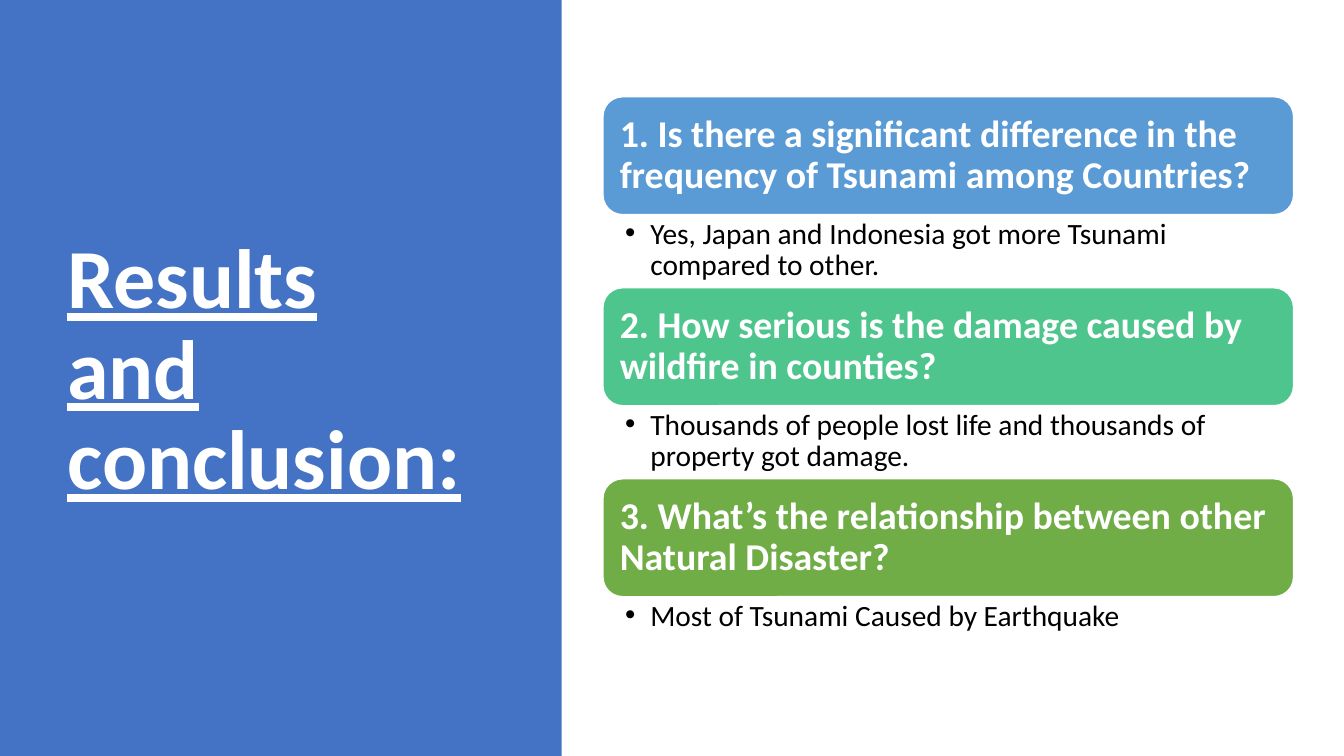
from lxml import etree
from pptx import Presentation
from pptx.dml.color import RGBColor
from pptx.enum.shapes import MSO_SHAPE
from pptx.enum.text import MSO_ANCHOR, PP_ALIGN
from pptx.oxml.ns import qn
from pptx.util import Inches, Pt

RECTANGLE = MSO_SHAPE.RECTANGLE
ROUNDED = MSO_SHAPE.ROUNDED_RECTANGLE
TOP, MIDDLE = MSO_ANCHOR.TOP, MSO_ANCHOR.MIDDLE
LEFT = PP_ALIGN.LEFT

SLIDE_WIDTH, SLIDE_HEIGHT = 13.33, 7.5
PANEL_WIDTH = 5.57
LIST_LEFT, LIST_TOP, LIST_WIDTH = 5.98, 0.96, 6.85
QUESTION_HEIGHT, ANSWER_HEIGHT = 1.17, 0.72
ROW_PITCH = 1.895
BULLET_INDENT = 0.25
FONT = "Calibri"
WHITE, BLACK, BLUE = "FFFFFF", "000000", "4472C4"

FINDINGS = [
    ("1. Is there a significant difference in the frequency of Tsunami among Countries?",
     "Yes, Japan and Indonesia got more Tsunami compared to other.", "5B9BD5"),
    ("2. How serious is the damage caused by wildfire in counties?",
     "Thousands of people lost life and thousands of property got damage.", "4DC58D"),
    ("3. What’s the relationship between other Natural Disaster?",
     "Most of Tsunami Caused by Earthquake", "70AD47"),
]


def color(hex_string):
    return RGBColor.from_string(hex_string)


def add_block(slide, kind, box, fill, outline=None):
    shape = slide.shapes.add_shape(kind, *map(Inches, box))
    shape.shadow.inherit = False
    shape.fill.solid()
    shape.fill.fore_color.rgb = color(fill)
    if outline:
        shape.line.color.rgb = color(outline)
        shape.line.width = Pt(1)
    else:
        shape.line.fill.background()
    return shape


def write(shape, text, size, text_color, anchor, insets, bold=False, underline=False):
    """Put one left-aligned paragraph in the shape; insets are left, top, right, bottom."""
    frame = shape.text_frame
    frame.word_wrap = True
    frame.vertical_anchor = anchor
    (frame.margin_left, frame.margin_top,
     frame.margin_right, frame.margin_bottom) = map(Inches, insets)
    paragraph = frame.paragraphs[0]
    paragraph.alignment = LEFT
    paragraph.line_spacing = 0.9
    run = paragraph.add_run()
    run.text = text
    run.font.name = FONT
    run.font.size = Pt(size)
    run.font.bold = bold
    run.font.underline = underline
    run.font.color.rgb = color(text_color)
    return paragraph


def add_bullet(paragraph):
    properties = paragraph._p.get_or_add_pPr()
    properties.set("marL", str(Inches(BULLET_INDENT)))
    properties.set("indent", str(-Inches(BULLET_INDENT)))
    etree.SubElement(properties, qn("a:buFont")).set("typeface", "Arial")
    etree.SubElement(properties, qn("a:buChar")).set("char", "•")


def add_title_panel(slide):
    add_block(slide, RECTANGLE, (0, 0, PANEL_WIDTH, SLIDE_HEIGHT), BLUE)
    title = slide.shapes.add_textbox(*map(Inches, (0.57, 0.68, 4.16, 6.02)))
    write(title, "Results and conclusion:", 60, WHITE, MIDDLE,
          (0.1, 0.05, 0.1, 0.05), bold=True, underline=True)


def add_finding(slide, top, question, answer, fill):
    card = add_block(slide, ROUNDED, (LIST_LEFT, top, LIST_WIDTH, QUESTION_HEIGHT), fill, WHITE)
    write(card, question, 27, WHITE, MIDDLE, [0.11] * 4, bold=True)
    reply = slide.shapes.add_textbox(*map(
        Inches, (LIST_LEFT, top + QUESTION_HEIGHT, LIST_WIDTH, ANSWER_HEIGHT)))
    add_bullet(write(reply, answer, 21, BLACK, TOP, (0.22, 0.04, 0.21, 0.04)))


def main():
    presentation = Presentation()
    presentation.slide_width = Inches(SLIDE_WIDTH)
    presentation.slide_height = Inches(SLIDE_HEIGHT)
    slide = presentation.slides.add_slide(presentation.slide_layouts[6])
    add_title_panel(slide)
    for row, finding in enumerate(FINDINGS):
        add_finding(slide, LIST_TOP + row * ROW_PITCH, *finding)
    presentation.save("out.pptx")


if __name__ == "__main__":
    main()
